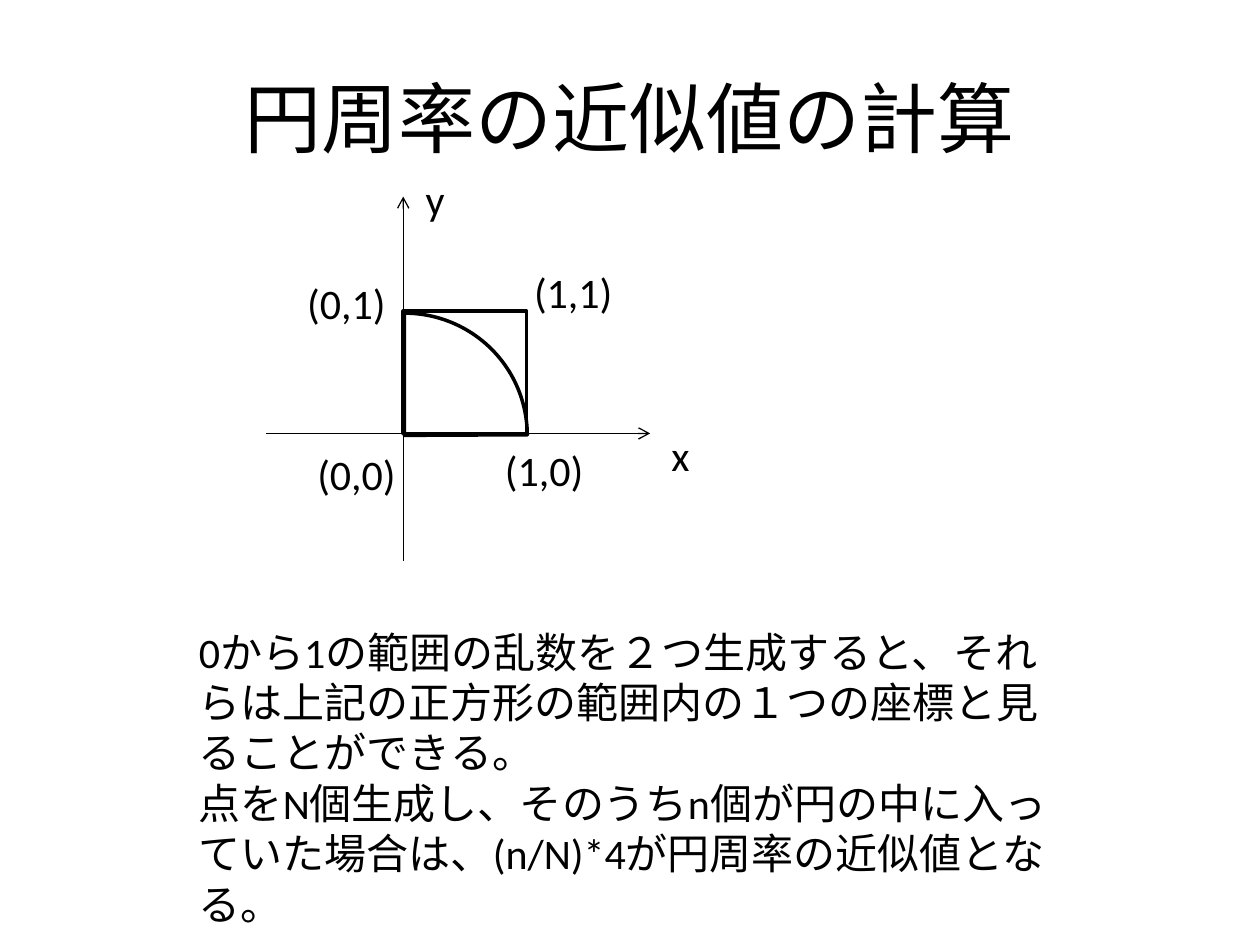
import dataclasses

import lxml.etree
import pptx
import pptx.dml.color
import pptx.enum.shapes
import pptx.enum.text
import pptx.oxml.ns
import pptx.slide
import pptx.util

Inches = pptx.util.Inches
Pt = pptx.util.Pt
Kind = pptx.enum.shapes.MSO_SHAPE
Align = pptx.enum.text.PP_ALIGN
Anchor = pptx.enum.text.MSO_ANCHOR
Fit = pptx.enum.text.MSO_AUTO_SIZE
RGB = pptx.dml.color.RGBColor
qn = pptx.oxml.ns.qn


@dataclasses.dataclass(frozen=True)
class Theme:
    font: str = "Calibri"
    ink: RGB = RGB(0, 0, 0)
    paper: RGB = RGB(255, 255, 255)
    title: float = 44
    body: float = 24
    thin: float = 0.75
    bold: float = 2


@dataclasses.dataclass(frozen=True)
class Label:
    lines: tuple[str, ...]
    left: float
    top: float
    width: float = 0.83
    height: float = 0.5
    wrap: bool = False


@dataclasses.dataclass(frozen=True)
class Axis:
    start: tuple[float, float]
    end: tuple[float, float]


@dataclasses.dataclass(frozen=True)
class Figure:
    kind: Kind
    left: float
    top: float
    width: float
    height: float
    turn: float = 0
    adjust: tuple[float, ...] = ()


THEME = Theme()

TITLE = Label(("円周率の近似値の計算",), 0.5, 0.3, 9, 1.25, True)

# Quarter circle: a pie from 0 to 90 degrees, turned into the first quadrant
QUARTER = Figure(Kind.PIE, 2.24, 2.48, 1.94, 1.95, 270, (0, 53.84))
SQUARE = Figure(Kind.RECTANGLE, 3.2, 2.47, 0.98, 0.97)

AXES = (
    Axis((2.11, 3.44), (5.16, 3.44)),
    Axis((3.2, 4.45), (3.2, 1.56)),
)

LABELS = (
    Label(("(0,0)",), 2.42, 3.51),
    Label(("(1,0)",), 3.91, 3.48),
    Label(("(0,1)",), 2.34, 2.15),
    Label(("(1,1)",), 4.14, 2.07),
    Label(("x",), 5.23, 3.36, 0.31, wrap=True),
    Label(("y",), 3.28, 1.33, 0.31, wrap=True),
    Label(
        (
            "0から1の範囲の乱数を２つ生成すると、それらは上記の正方形の範囲内の１つの座標と見ることができる。",
            "点をN個生成し、そのうちn個が円の中に入っていた場合は、(n/N)*4が円周率の近似値となる。",
        ),
        1.48, 4.92, 7.11, 2.12, True,
    ),
)


def add_label(
    slide: pptx.slide.Slide,
    label: Label,
    size: float = THEME.body,
    align: Align = Align.LEFT,
    anchor: Anchor = Anchor.TOP,
    fit: Fit = Fit.SHAPE_TO_FIT_TEXT,
) -> None:
    box = slide.shapes.add_textbox(
        Inches(label.left), Inches(label.top), Inches(label.width), Inches(label.height)
    )
    frame = box.text_frame
    frame.word_wrap = label.wrap
    frame.auto_size = fit
    frame.vertical_anchor = anchor
    frame.text = "\n".join(label.lines)
    for para in frame.paragraphs:
        para.alignment = align
        para.font.name = THEME.font
        para.font.size = Pt(size)
        para.font.color.rgb = THEME.ink


def add_figure(slide: pptx.slide.Slide, figure: Figure) -> None:
    shape = slide.shapes.add_shape(
        figure.kind,
        Inches(figure.left), Inches(figure.top),
        Inches(figure.width), Inches(figure.height),
    )
    shape.shadow.inherit = False
    shape.rotation = figure.turn
    for index, value in enumerate(figure.adjust):
        shape.adjustments[index] = value
    shape.fill.background()
    shape.line.color.rgb = THEME.ink
    shape.line.width = Pt(THEME.bold)


def add_axis(slide: pptx.slide.Slide, axis: Axis) -> None:
    line = slide.shapes.add_connector(
        pptx.enum.shapes.MSO_CONNECTOR.STRAIGHT,
        *map(Inches, axis.start + axis.end),
    )
    line.line.color.rgb = THEME.ink
    line.line.width = Pt(THEME.thin)
    # Open arrowhead at the end, no shadow
    props = line._element.spPr
    lxml.etree.SubElement(props.find(qn("a:ln")), qn("a:tailEnd"), type="arrow")
    lxml.etree.SubElement(props, qn("a:effectLst"))


def main() -> None:
    deck = pptx.Presentation()
    deck.slide_width, deck.slide_height = Inches(10), Inches(7.5)
    slide = deck.slides.add_slide(deck.slide_layouts[6])
    slide.background.fill.solid()
    slide.background.fill.fore_color.rgb = THEME.paper

    # Title
    add_label(slide, TITLE, THEME.title, Align.CENTER, Anchor.MIDDLE, Fit.NONE)

    # Unit square with its quarter circle on the axes
    add_figure(slide, QUARTER)
    for axis in AXES:
        add_axis(slide, axis)
    add_figure(slide, SQUARE)

    # Coordinates, axis names and explanation
    for label in LABELS:
        add_label(slide, label)

    deck.save("out.pptx")


if __name__ == "__main__":
    main()
